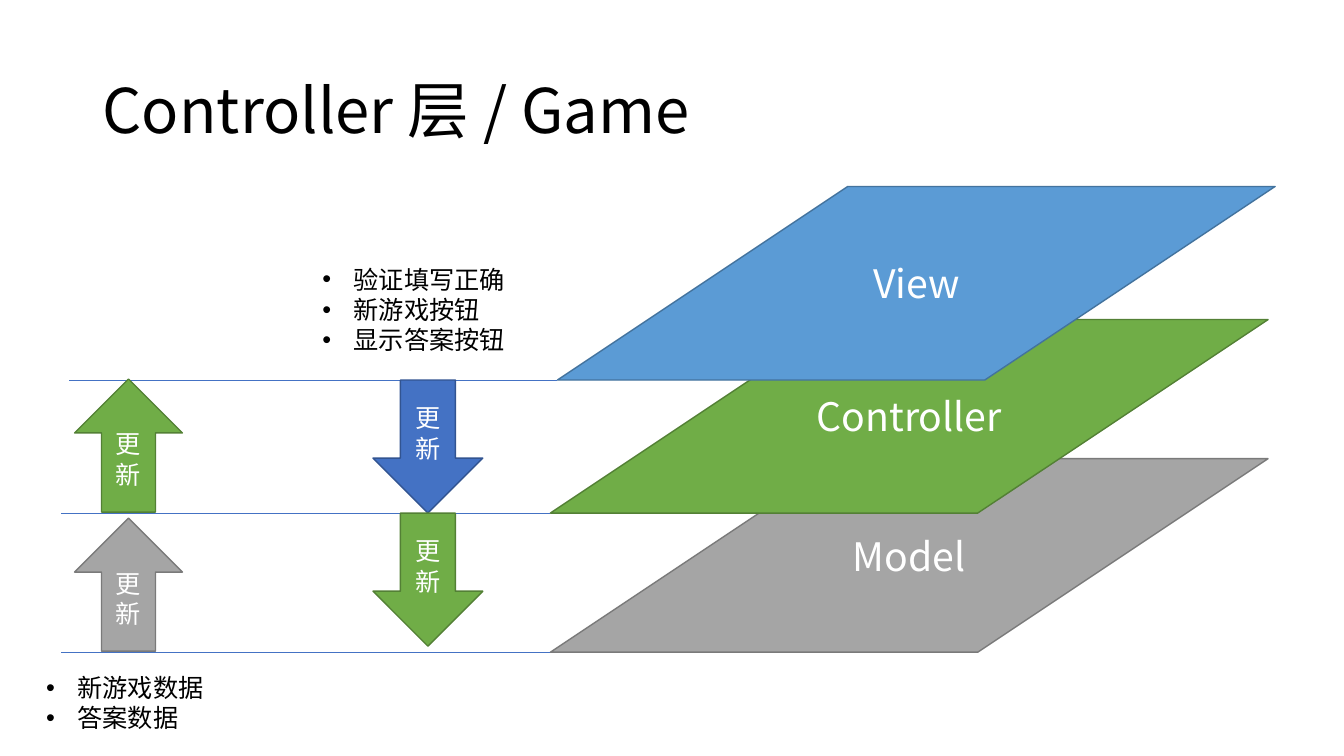
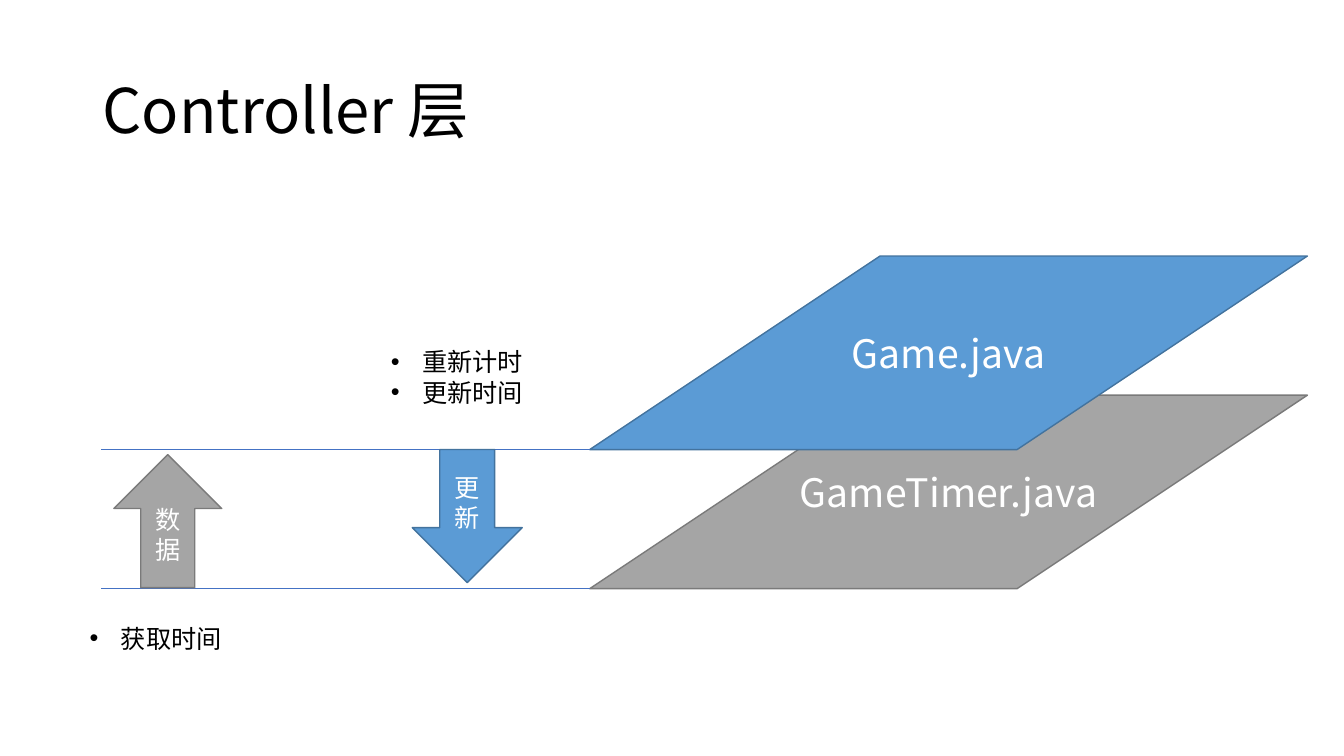
from dataclasses import dataclass

from lxml import etree
from pptx import Presentation
from pptx.dml.color import RGBColor
from pptx.enum.shapes import MSO_CONNECTOR, MSO_SHAPE
from pptx.enum.text import MSO_ANCHOR, PP_ALIGN
from pptx.oxml.ns import qn
from pptx.util import Inches, Pt

PARALLELOGRAM = MSO_SHAPE.PARALLELOGRAM
UP, DOWN = MSO_SHAPE.UP_ARROW, MSO_SHAPE.DOWN_ARROW
STRAIGHT = MSO_CONNECTOR.STRAIGHT
LEFT, CENTER = PP_ALIGN.LEFT, PP_ALIGN.CENTER
TOP, MIDDLE = MSO_ANCHOR.TOP, MSO_ANCHOR.MIDDLE


# Theme
@dataclass(frozen=True)
class Tint:
    fill: str
    line: str


@dataclass(frozen=True)
class Theme:
    font: str = "Noto Sans CJK SC"
    ink: str = "000000"
    light: str = "FFFFFF"
    rule: str = "4472C4"
    title_size: float = 44
    plane_size: float = 28
    body_size: float = 18
    outline: float = 1
    hairline: float = 0.5
    gray: Tint = Tint("A5A5A5", "7A7A7A")
    green: Tint = Tint("70AD47", "538035")
    sky: Tint = Tint("5B9BD5", "43739E")
    blue: Tint = Tint("4472C4", "325491")


THEME = Theme()

# Grid of square cells; all lengths below are columns and rows of it
COLUMNS, ROWS = 133.33, 75
CELL = Inches(0.1)
TITLE_AREA = (9.2, 4, 115, 14.5)
PLANE_WIDTH, PLANE_HEIGHT, PLANE_SLANT = 71.2, 19.2, 1.5
RULE_LENGTH = 48.5
ARROW_HEIGHT = 13.2
ARROW_GAP = 0.1
ARROW_WIDTH = {UP: 10.7, DOWN: 10.9}
ARROW_OFFSET = {UP: -47.2, DOWN: -17.6}  # from the left corner of the planes
NOTE_WIDTH, NOTE_LINE, NOTE_PADDING, NOTE_INDENT = 25.9, 3, 1, 3.1


# Content types
@dataclass(frozen=True)
class Plane:
    label: str
    tint: Tint
    base: float
    shift: float = 0


@dataclass(frozen=True)
class Arrow:
    label: str
    tint: Tint
    direction: MSO_SHAPE
    base: float  # the plane edge that the tail stands on


@dataclass(frozen=True)
class Note:
    left: float
    top: float
    lines: tuple[str, ...]


@dataclass(frozen=True)
class Page:
    title: str
    left: float
    planes: tuple[Plane, ...]  # lowest first
    arrows: tuple[Arrow, ...]
    notes: tuple[Note, ...]


PAGES = (
    Page(
        "Controller 层 / Game", 54.6,
        (Plane("Model", THEME.gray, 64.7),
         Plane("Controller", THEME.green, 50.9),
         Plane("View", THEME.sky, 37.7, shift=0.7)),
        (Arrow("更新", THEME.green, UP, 50.9),
         Arrow("更新", THEME.gray, UP, 64.7),
         Arrow("更新", THEME.blue, DOWN, 37.7),
         Arrow("更新", THEME.green, DOWN, 50.9)),
        (Note(3.6, 66.2, ("新游戏数据", "答案数据")),
         Note(31, 25.7, ("验证填写正确", "新游戏按钮", "显示答案按钮"))),
    ),
    Page(
        "Controller 层", 58.5,
        (Plane("GameTimer.java", THEME.gray, 58.4),
         Plane("Game.java", THEME.sky, 44.6)),
        (Arrow("数据", THEME.gray, UP, 58.4),
         Arrow("更新", THEME.sky, DOWN, 44.6)),
        (Note(7.9, 61.3, ("获取时间",)),
         Note(37.8, 33.9, ("重新计时", "更新时间"))),
    ),
)


# Drawing helpers
def cells(*counts: float) -> list[int]:
    return [round(count * CELL) for count in counts]


def write(box, lines, size: float, color: str, align=LEFT, anchor=MIDDLE) -> list:
    """Put one run in each paragraph of the box and return the paragraphs."""
    frame = box.text_frame
    frame.word_wrap = True
    frame.vertical_anchor = anchor
    paras = []
    for number, line in enumerate(lines):
        para = frame.add_paragraph() if number else frame.paragraphs[0]
        para.alignment = align
        span = para.add_run()
        span.text = line
        span.font.size = Pt(size)
        span.font.name = THEME.font
        span.font.color.rgb = RGBColor.from_string(color)
        east_asian = etree.SubElement(span._r.get_or_add_rPr(), qn("a:ea"))
        east_asian.set("typeface", THEME.font)
        paras.append(para)
    return paras


def draw_shape(slide, kind, area, tint: Tint, label: str, size: float):
    shape = slide.shapes.add_shape(kind, *cells(*area))
    shape.shadow.inherit = False
    shape.fill.solid()
    shape.fill.fore_color.rgb = RGBColor.from_string(tint.fill)
    shape.line.color.rgb = RGBColor.from_string(tint.line)
    shape.line.width = Pt(THEME.outline)
    write(shape, [label], size, THEME.light, CENTER)
    return shape


def draw_title(slide, title: str) -> None:
    box = slide.shapes.add_textbox(*cells(*TITLE_AREA))
    para = write(box, [title], THEME.title_size, THEME.ink)[0]
    para.line_spacing = 0.9


def draw_plane(slide, plane: Plane, left: float) -> None:
    area = (left + plane.shift, plane.base - PLANE_HEIGHT, PLANE_WIDTH, PLANE_HEIGHT)
    shape = draw_shape(slide, PARALLELOGRAM, area, plane.tint, plane.label,
                       THEME.plane_size)
    shape.adjustments[0] = PLANE_SLANT


def draw_rule(slide, plane: Plane, left: float) -> None:
    start = left + plane.shift
    ends = cells(start, plane.base, start - RULE_LENGTH, plane.base)
    rule = slide.shapes.add_connector(STRAIGHT, *ends)
    rule.line.color.rgb = RGBColor.from_string(THEME.rule)
    rule.line.width = Pt(THEME.hairline)
    etree.SubElement(rule._element.spPr, qn("a:effectLst"))


def draw_arrow(slide, arrow: Arrow, left: float) -> None:
    kind = arrow.direction
    top = arrow.base - ARROW_HEIGHT - ARROW_GAP if kind == UP else arrow.base
    area = (left + ARROW_OFFSET[kind], top, ARROW_WIDTH[kind], ARROW_HEIGHT)
    draw_shape(slide, kind, area, arrow.tint, arrow.label, THEME.body_size)


def draw_note(slide, note: Note) -> None:
    height = len(note.lines) * NOTE_LINE + NOTE_PADDING
    box = slide.shapes.add_textbox(*cells(note.left, note.top, NOTE_WIDTH, height))
    indent = cells(NOTE_INDENT)[0]
    for para in write(box, note.lines, THEME.body_size, THEME.ink, anchor=TOP):
        properties = para._p.get_or_add_pPr()
        properties.set("marL", str(indent))
        properties.set("indent", str(-indent))
        etree.SubElement(properties, qn("a:buFont")).set("typeface", "Arial")
        etree.SubElement(properties, qn("a:buChar")).set("char", "•")


def draw_page(deck, page: Page) -> None:
    slide = deck.slides.add_slide(deck.slide_layouts[6])
    draw_title(slide, page.title)
    for plane in page.planes:
        draw_plane(slide, plane, page.left)
    for plane in page.planes:
        draw_rule(slide, plane, page.left)
    for arrow in page.arrows:
        draw_arrow(slide, arrow, page.left)
    for note in page.notes:
        draw_note(slide, note)


def main() -> None:
    deck = Presentation()
    deck.slide_width, deck.slide_height = cells(COLUMNS, ROWS)
    for page in PAGES:
        draw_page(deck, page)
    deck.save("out.pptx")


if __name__ == "__main__":
    main()
